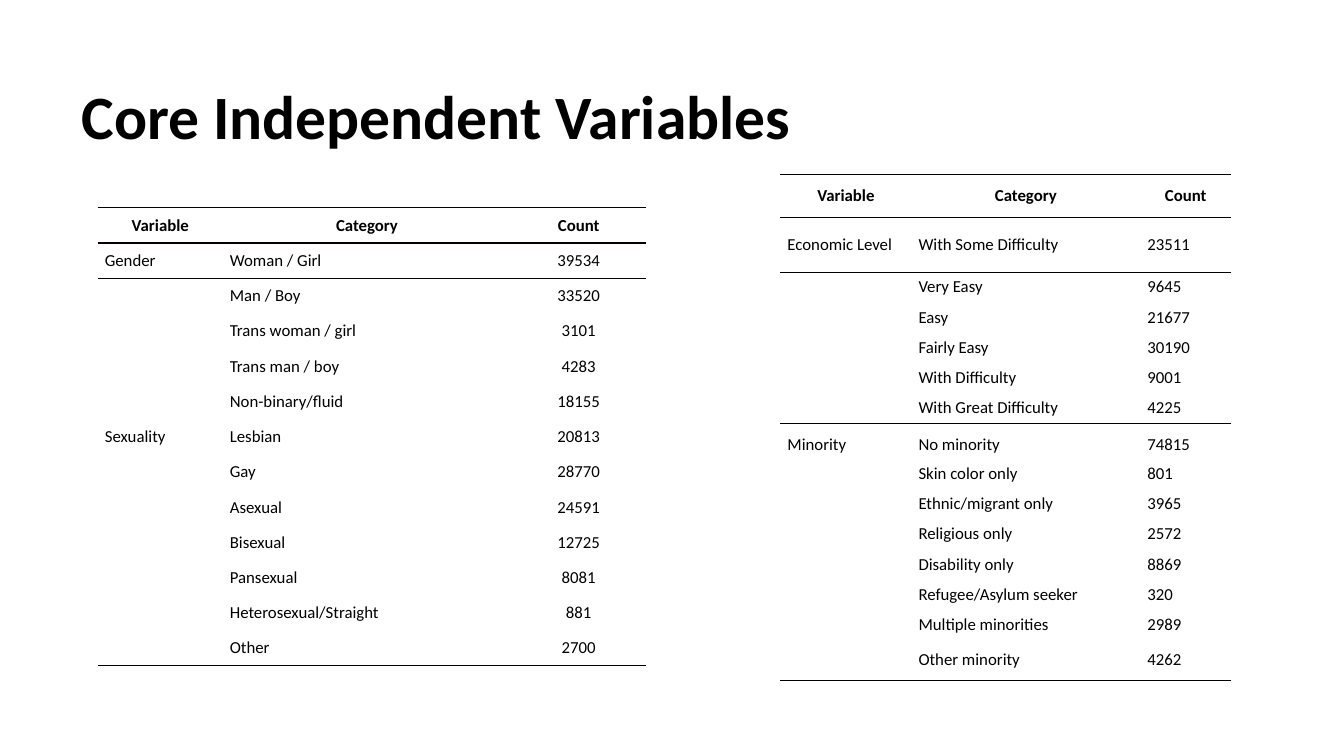
from dataclasses import dataclass

from lxml import etree
from pptx import Presentation
from pptx import util as u
from pptx.dml.color import RGBColor
from pptx.enum import text
from pptx.oxml.ns import qn
from pptx.slide import Slide
from pptx.table import _Cell

PX = 9144
FONT = "Calibri"
BLACK = RGBColor(0x00, 0x00, 0x00)
SOFT_BLACK = RGBColor(0x08, 0x00, 0x00)
PLAIN_TABLE = "{2D5ABB26-0587-4C30-8999-92F81FD0307C}"
HEADINGS = ("Variable", "Category", "Count")
LEFT, CENTER = text.PP_ALIGN.LEFT, text.PP_ALIGN.CENTER


@dataclass(frozen=True)
class Variable:
    name: str
    counts: dict[str, int]


@dataclass(frozen=True)
class CountTable:
    left: int
    top: int
    columns: tuple[int, ...]
    heights: tuple[int, ...]
    variables: tuple[Variable, ...]
    has_header: bool = True
    count_align: text.PP_ALIGN = LEFT
    header_rule: RGBColor = BLACK


GENDER = Variable("Gender", {
    "Woman / Girl": 39534, "Man / Boy": 33520, "Trans woman / girl": 3101,
    "Trans man / boy": 4283, "Non-binary/fluid": 18155,
})
SEXUALITY = Variable("Sexuality", {
    "Lesbian": 20813, "Gay": 28770, "Asexual": 24591, "Bisexual": 12725,
    "Pansexual": 8081, "Heterosexual/Straight": 881, "Other": 2700,
})
ECONOMIC_LEVEL = Variable("Economic Level", {
    "With Some Difficulty": 23511, "Very Easy": 9645, "Easy": 21677,
    "Fairly Easy": 30190, "With Difficulty": 9001, "With Great Difficulty": 4225,
})
MINORITY = Variable("Minority", {
    "No minority": 74815, "Skin color only": 801, "Ethnic/migrant only": 3965,
    "Religious only": 2572, "Disability only": 8869, "Refugee/Asylum seeker": 320,
    "Multiple minorities": 2989, "Other minority": 4262,
})

RIGHT_COLUMNS = (130, 227, 90)
COUNT_TABLES = (
    CountTable(97, 206, (124, 286, 134), (35,) * 11 + (34, 35), (GENDER, SEXUALITY),
               count_align=CENTER, header_rule=SOFT_BLACK),
    CountTable(774, 173, RIGHT_COLUMNS, (43, 54) + (30,) * 5, (ECONOMIC_LEVEL,)),
    CountTable(774, 428, RIGHT_COLUMNS, (27,) + (30,) * 6 + (40,), (MINORITY,),
               has_header=False),
)


def px(length: int) -> u.Emu:
    return u.Emu(length * PX)


def table_rows(spec: CountTable) -> list[tuple[str, ...]]:
    rows = [HEADINGS] if spec.has_header else []
    for variable in spec.variables:
        for index, (category, count) in enumerate(variable.counts.items()):
            rows.append(("" if index else variable.name, category, str(count)))
    return rows


def row_rules(spec: CountTable, row: int) -> dict[str, RGBColor]:
    rules = {}
    if spec.has_header and row <= 1:
        rules["a:lnT"] = spec.header_rule
    if spec.has_header and row == 0:
        rules["a:lnB"] = spec.header_rule
    if row == len(spec.heights) - 1:
        rules["a:lnB"] = BLACK
    return rules


def add_rules(cell: _Cell, rules: dict[str, RGBColor]) -> None:
    properties = cell._tc.get_or_add_tcPr()
    for position, (edge, color) in enumerate(rules.items()):
        line = etree.Element(qn(edge), w=str(u.Pt(1)))
        fill = etree.SubElement(line, qn("a:solidFill"))
        etree.SubElement(fill, qn("a:srgbClr"), val=str(color))
        properties.insert(position, line)


def write_cell(cell: _Cell, words: str, align: text.PP_ALIGN, bold: bool) -> None:
    cell.fill.background()
    cell.vertical_anchor = text.MSO_ANCHOR.MIDDLE
    cell.margin_left = cell.margin_right = px(7)
    cell.margin_top = cell.margin_bottom = 0
    cell.text = words
    paragraph = cell.text_frame.paragraphs[0]
    paragraph.alignment = align
    paragraph.font.name = FONT
    paragraph.font.size = u.Pt(12)
    paragraph.font.bold = bold
    paragraph.font.color.rgb = BLACK


def add_count_table(slide: Slide, spec: CountTable) -> None:
    frame = slide.shapes.add_table(
        len(spec.heights), len(spec.columns), px(spec.left), px(spec.top),
        px(sum(spec.columns)), px(sum(spec.heights)))
    table = frame.table
    table.first_row = table.horz_banding = False
    frame.element.find(".//" + qn("a:tableStyleId")).text = PLAIN_TABLE
    for column, width in zip(table.columns, spec.columns):
        column.width = px(width)
    for row, height in zip(table.rows, spec.heights):
        row.height = px(height)
    for row, entries in enumerate(table_rows(spec)):
        is_header = spec.has_header and row == 0
        aligns = (CENTER,) * 3 if is_header else (LEFT, LEFT, spec.count_align)
        for column, (words, align) in enumerate(zip(entries, aligns)):
            cell = table.cell(row, column)
            write_cell(cell, words, align, is_header)
            add_rules(cell, row_rules(spec, row))


def write_title(slide: Slide, words: str) -> None:
    title = slide.shapes.title
    title.left, title.top, title.width, title.height = map(px, (71, 46, 1150, 145))
    frame = title.text_frame
    frame.text = words
    frame.auto_size = text.MSO_AUTO_SIZE.NONE
    frame.vertical_anchor = text.MSO_ANCHOR.MIDDLE
    heading = frame.paragraphs[0]
    heading.alignment = LEFT
    heading.line_spacing = 0.9
    heading.font.name = FONT
    heading.font.size = u.Pt(44)
    heading.font.bold = True
    heading.font.color.rgb = BLACK


def main() -> None:
    deck = Presentation()
    deck.slide_width, deck.slide_height = px(1333), px(750)
    slide = deck.slides.add_slide(deck.slide_layouts[5])
    write_title(slide, "Core Independent Variables")
    for spec in COUNT_TABLES:
        add_count_table(slide, spec)
    deck.save("out.pptx")


if __name__ == "__main__":
    main()
